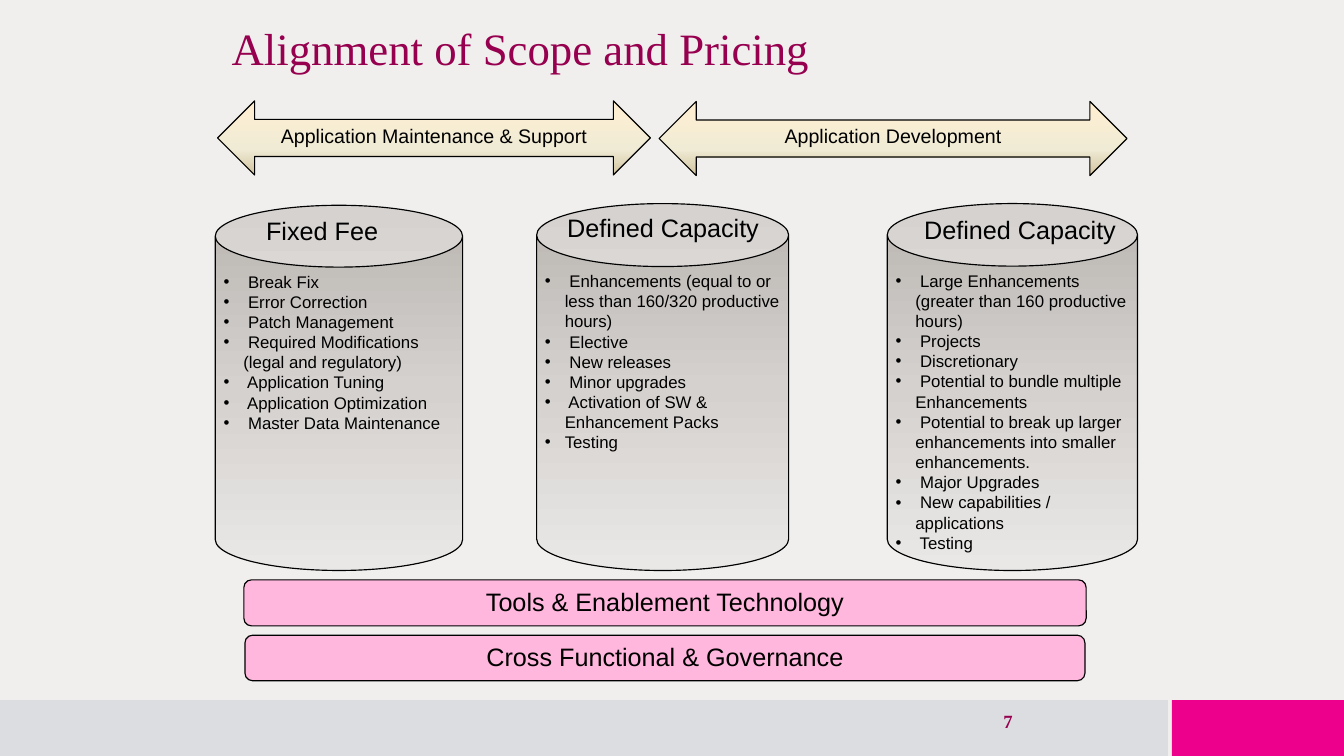
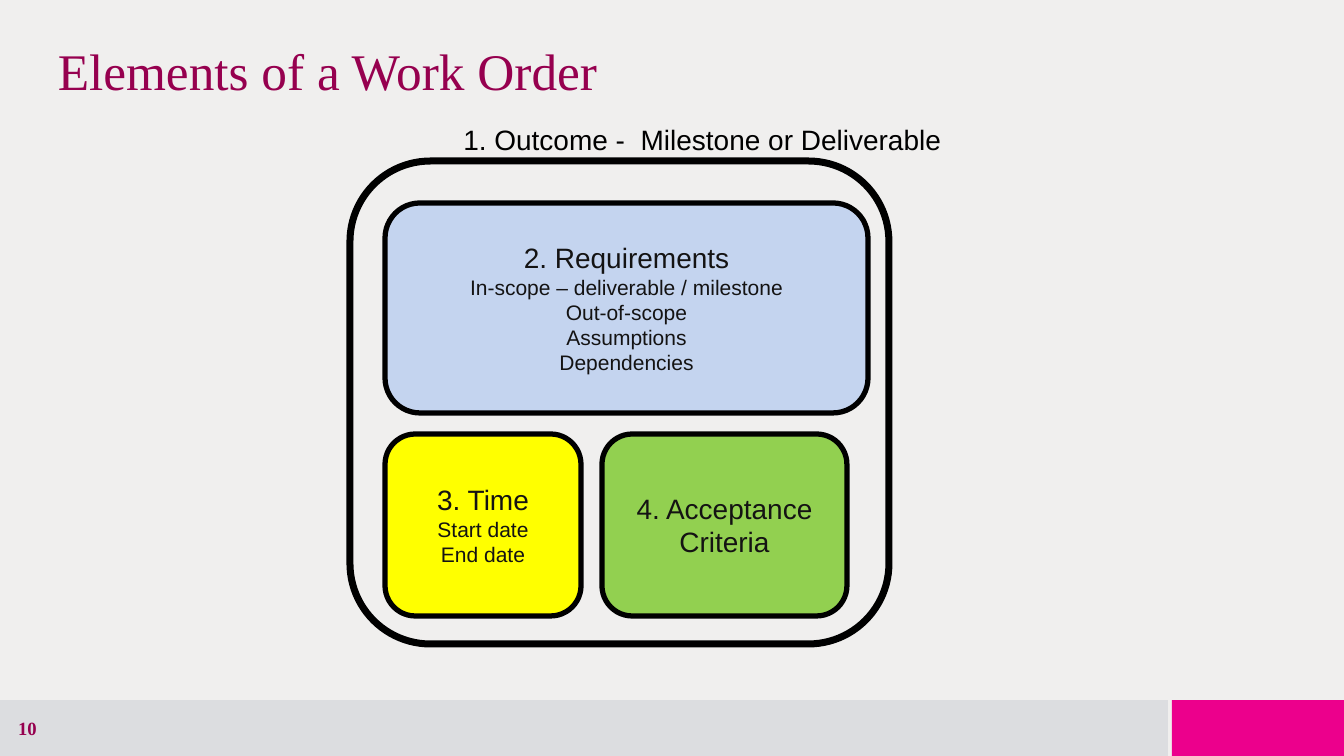
from lxml.etree import SubElement
from pptx import Presentation
from pptx.dml.color import RGBColor
from pptx.enum.shapes import MSO_SHAPE
from pptx.enum.text import MSO_ANCHOR, MSO_AUTO_SIZE, PP_ALIGN
from pptx.oxml.ns import qn
from pptx.util import Pt

# Shared look
PAPER, MAGENTA, BAND_GREY, PLUM = "F0EFEE", "EC008C", "DCDDE0", "96004F"
BLACK, INK, PINK = "000000", "141313", "FFB7DD"
BLUE, YELLOW, GREEN = "C4D4EF", "FFFF00", "92D050"
PILLAR_GREYS = [(0, "BAB5B1"), (50, "D4D1CE"), (100, "E9E8E7")]
ARROW_CREAMS = [(0, "FFEFD1"), (65, "F0EBD5"), (100, "D1C39F")]
SANS, SERIF = "Arial", "Times New Roman"
WIDE_FRAME = dict(margin_left=Pt(11.5), margin_right=Pt(11.5),
                  margin_top=Pt(5.75), margin_bottom=Pt(5.75),
                  vertical_anchor=MSO_ANCHOR.MIDDLE, word_wrap=True)
TOP_FRAME = dict(vertical_anchor=MSO_ANCHOR.TOP, word_wrap=True)
LABEL_FRAME = dict(word_wrap=False, auto_size=MSO_AUTO_SIZE.SHAPE_TO_FIT_TEXT)


def color(hex_string):
    return RGBColor.from_string(hex_string)


def set_attributes(target, values):
    for name, value in values.items():
        setattr(target, name, value)


def points(box):
    return [Pt(length) for length in box]


def set_gradient(shape, stops):
    """Fill from top to bottom with (percent, colour) stops."""
    shape.fill.gradient()
    shape.fill.gradient_angle = 270
    stop_list = shape._element.spPr.find(qn("a:gradFill")).find(qn("a:gsLst"))
    stop_list.clear()
    for percent, hex_string in stops:
        stop = SubElement(stop_list, qn("a:gs"), pos=str(percent * 1000))
        SubElement(stop, qn("a:srgbClr"), val=hex_string)


def add_panel(slide, kind, box, fill=None, line_width=1):
    """Preset shape; fill is a colour, a list of stops or None."""
    panel = slide.shapes.add_shape(kind, *points(box))
    panel.shadow.inherit = False
    if fill is None:
        panel.fill.background()
    elif isinstance(fill, list):
        set_gradient(panel, fill)
    else:
        panel.fill.solid()
        panel.fill.fore_color.rgb = color(fill)
    if line_width:
        panel.line.color.rgb = color(BLACK)
        panel.line.width = Pt(line_width)
    else:
        panel.line.fill.background()
    return panel


def add_bullet(paragraph, indent=17):
    properties = paragraph._p.get_or_add_pPr()
    properties.set("marL", str(Pt(indent)))
    properties.set("indent", str(-Pt(indent)))
    SubElement(properties, qn("a:buFont"), typeface=SANS)
    SubElement(properties, qn("a:buChar"), char="•")


def write(shape, lines, frame, size, rest_size=None, ink=BLACK, font=SANS,
          bold=False, align=PP_ALIGN.CENTER, bullets=False):
    """One paragraph per line; rest_size applies after the first."""
    set_attributes(shape.text_frame, frame)
    for index, line in enumerate(lines):
        paragraph = (shape.text_frame.add_paragraph() if index
                     else shape.text_frame.paragraphs[0])
        if bullets:
            add_bullet(paragraph)
        paragraph.alignment = align
        run = paragraph.add_run()
        run.text = line
        run_size = rest_size if index and rest_size else size
        set_attributes(run.font, dict(name=font, size=Pt(run_size), bold=bold))
        run.font.color.rgb = color(ink)


def add_label(slide, box, text, size):
    label = slide.shapes.add_textbox(*points(box))
    write(label, [text], LABEL_FRAME, size, align=PP_ALIGN.LEFT)


def add_titled_slide(prs, title, title_box, title_size, number, number_box):
    slide = prs.slides.add_slide(prs.slide_layouts[5])
    heading = slide.shapes.title
    set_attributes(heading, dict(zip(("left", "top", "width", "height"),
                                     points(title_box))))
    write(heading, [title], {**WIDE_FRAME, "auto_size": MSO_AUTO_SIZE.NONE},
          title_size, ink=PLUM, font=SERIF, align=PP_ALIGN.LEFT)
    heading.text_frame.paragraphs[0].line_spacing = Pt(48)
    page_number = slide.shapes.add_textbox(*points(number_box))
    write(page_number, [number], WIDE_FRAME, 16, ink=PLUM, font=SERIF, bold=True)
    return slide


def add_master_bands(prs, slide):
    """Draw the footer bands and hand them to the slide master."""
    master = prs.slide_master
    master.background.fill.solid()
    master.background.fill.fore_color.rgb = color(PAPER)
    for left, width, fill in [(0, 1001, BAND_GREY), (1004.5, 147.5, MAGENTA)]:
        band = add_panel(slide, MSO_SHAPE.RECTANGLE, (left, 600, width, 48),
                         fill, line_width=0)
        master.shapes._spTree.insert(2, band._element)


def add_pillar(slide, box, heading, heading_box, items):
    left, top = box[:2]
    dx, dy, width = heading_box
    pillar = add_panel(slide, MSO_SHAPE.CAN, box, PILLAR_GREYS)
    write(pillar, items, TOP_FRAME, 14.4, align=PP_ALIGN.LEFT, bullets=True)
    add_label(slide, (left + dx, top + dy, width, 33), heading, 21.6)


def add_scope_arrow(slide, box, text):
    arrow = add_panel(slide, MSO_SHAPE.LEFT_RIGHT_ARROW, box, ARROW_CREAMS)
    write(arrow, [text], TOP_FRAME, 16.8)


def add_foundation(slide, box, text):
    bar = add_panel(slide, MSO_SHAPE.ROUNDED_RECTANGLE, box, PINK)
    write(bar, [text], TOP_FRAME, 21.6)


def add_work_order(slide, box):
    """Outcome frame holding requirements above time and acceptance."""
    left, top = box[:2]
    gap = 18
    inner_left, inner_top = left + 30, top + 36
    requirements_height, time_width = 180, 168
    lower_top = inner_top + requirements_height + gap
    add_panel(slide, MSO_SHAPE.ROUNDED_RECTANGLE, box, line_width=6)
    add_label(slide, (left + 90, top - 36.5, 428, 36),
              "1. Outcome -  Milestone or Deliverable", 24)
    elements = [
        ((inner_left, inner_top, 414, requirements_height), BLUE,
         ["2. Requirements", "In-scope – deliverable / milestone",
          "Out-of-scope", "Assumptions", "Dependencies"]),
        ((inner_left, lower_top, time_width, 156), YELLOW,
         ["3. Time", "Start date", "End date"]),
        ((inner_left + time_width + gap, lower_top, 210, 156), GREEN,
         ["4. Acceptance Criteria"]),
    ]
    for element_box, fill, lines in elements:
        element = add_panel(slide, MSO_SHAPE.ROUNDED_RECTANGLE, element_box,
                            fill, line_width=4.5)
        write(element, lines, WIDE_FRAME, 24, rest_size=18, ink=INK)


def build_pricing_slide(prs):
    slide = add_titled_slide(prs, "Alignment of Scope and Pricing",
                             (187, -14.5, 778, 108), 38.4,
                             "7", (763, 600.5, 202, 34.5))
    add_master_bands(prs, slide)
    # Pillars
    pillars = [
        ((184.5, 176, 212, 313), "Fixed Fee", (36.5, 5, 112),
         [" Break Fix", " Error Correction", " Patch Management",
          " Required Modifications (legal and regulatory)",
          " Application Tuning", " Application Optimization",
          " Master Data Maintenance"]),
        ((460, 174.5, 216, 314.5), "Defined Capacity", (19, 4, 181),
         [" Enhancements (equal to or less than 160/320 productive hours)",
          " Elective", " New releases", " Minor upgrades",
          " Activation of SW & Enhancement Packs", "Testing"]),
        ((760.5, 174.5, 214.5, 314.5), "Defined Capacity", (24.5, 5.5, 181),
         [" Large Enhancements (greater than 160 productive hours)",
          " Projects", " Discretionary",
          " Potential to bundle multiple Enhancements",
          " Potential to break up larger enhancements into smaller enhancements.",
          " Major Upgrades", " New capabilities / applications", " Testing"]),
    ]
    for pillar in pillars:
        add_pillar(slide, *pillar)
    # Scope arrows
    add_scope_arrow(slide, (186.5, 86.5, 371, 63.5),
                    "Application Maintenance & Support")
    add_scope_arrow(slide, (565, 87, 401, 63.5), "Application Development")
    # Foundations
    add_foundation(slide, (210, 544.5, 720, 39), "Cross Functional & Governance")
    add_foundation(slide, (209, 497, 722, 39.5), "Tools & Enablement Technology")


def build_work_order_slide(prs):
    slide = add_titled_slide(prs, "Elements of a Work Order",
                             (38, 22.5, 1079, 80), 44,
                             "10", (-0.5, 607, 48, 34.5))
    add_work_order(slide, (300, 138, 462, 414))


def main():
    prs = Presentation()
    prs.slide_width, prs.slide_height = Pt(1152), Pt(648)
    build_pricing_slide(prs)
    build_work_order_slide(prs)
    prs.save("out.pptx")


if __name__ == "__main__":
    main()
